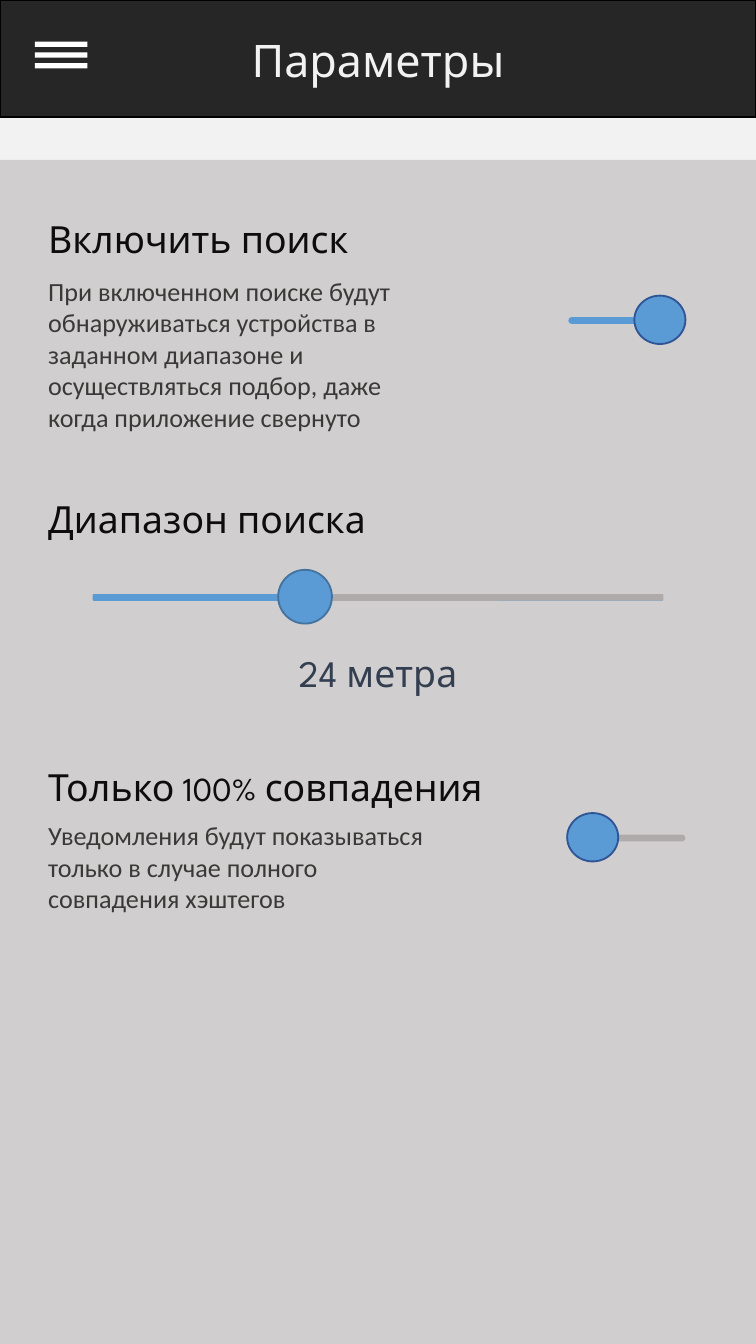
from collections import namedtuple

from pptx import Presentation
from pptx.dml.color import RGBColor
from pptx.enum.shapes import MSO_SHAPE
from pptx.enum.text import MSO_ANCHOR, MSO_AUTO_SIZE, PP_ALIGN
from pptx.util import Inches, Pt

Box = namedtuple("Box", "x y w h")

ROWS = 1000
COLUMNS = ROWS * 9 / 16
CELL = Inches(0.01)
HEADING_FONT, NOTE_FONT = "League Spartan", "Calibri"
BLUE, GREY, HEADING, NOTE = "5B9BD5", "AFABAB", "0D0D0D", "3B3838"
HEADING_ROWS, TRACK_ROWS = 44, 5


def paint(color_format, color):
    color_format.rgb = RGBColor.from_string(color)


def emu(box):
    return [round(cells * CELL) for cells in box]


def draw(shapes, kind, box, fill, line=None):
    shape = shapes.add_shape(kind, *emu(box))
    shape.shadow.inherit = False
    shape.fill.solid()
    paint(shape.fill.fore_color, fill)
    if line:
        paint(shape.line.color, line)
        shape.line.width = Pt(1)
    else:
        shape.line.fill.background()
    return shape


def write(holder, *parts, size=20, font=HEADING_FONT, color=HEADING, align=PP_ALIGN.LEFT):
    frame = holder.text_frame
    frame.word_wrap = True
    frame.auto_size = MSO_AUTO_SIZE.NONE
    frame.vertical_anchor = MSO_ANCHOR.TOP
    paragraph = frame.paragraphs[0]
    paragraph.alignment = align
    for part in parts:
        words, part_size = part if isinstance(part, tuple) else (part, size)
        run = paragraph.add_run()
        run.text = words
        run.font.size = Pt(part_size)
        run.font.name = font
        paint(run.font.color, color)


def write_box(shapes, box, *parts, **text_format):
    write(shapes.add_textbox(*emu(box)), *parts, **text_format)


def header(slide, box, words):
    bar = draw(slide.shapes, MSO_SHAPE.RECTANGLE, box, "262626", "000000")
    title = slide.shapes.title
    bar._element.addnext(title._element)
    title.left, title.top, title.width, title.height = emu(
        Box(box.x, box.y + 19, box.w, 50))
    write(title, words, size=24, color="F2F2F2", align=PP_ALIGN.CENTER)
    for step in range(3):
        stripe = Box(box.x + 26, box.y + 31 + 8 * step, 39, 4)
        draw(slide.shapes, MSO_SHAPE.RECTANGLE, stripe, "FFFFFF")


def setting(slide, box, heading, note, note_rows):
    shapes = slide.shapes.add_group_shape().shapes
    write_box(shapes, Box(box.x, box.y, box.w, HEADING_ROWS), *heading)
    write_box(shapes, Box(box.x, box.y + box.h - note_rows, 300, note_rows), note,
              size=14, font=NOTE_FONT, color=NOTE)


def switch(slide, box, on):
    track = Box(box.x + 1, box.y + 16, box.w - 1, TRACK_ROWS)
    rail = draw(slide.shapes, MSO_SHAPE.ROUNDED_RECTANGLE, track, BLUE if on else GREY)
    rail.adjustments[0] = 0.5
    knob_width = 38
    knob_x = box.x + (box.w - knob_width if on else 0)
    draw(slide.shapes, MSO_SHAPE.OVAL, Box(knob_x, box.y, knob_width, box.h), BLUE, "2F5597")


def search_range(slide, box, heading, value, chosen):
    shapes = slide.shapes.add_group_shape().shapes
    track = Box(box.x + 69, box.y + 78, box.w - 138, TRACK_ROWS)
    rest = track._replace(x=track.x + chosen, w=track.w - chosen)
    draw(shapes, MSO_SHAPE.ROUNDED_RECTANGLE, track, BLUE)
    draw(shapes, MSO_SHAPE.ROUNDED_RECTANGLE, rest, GREY)
    knob = 40
    draw(shapes, MSO_SHAPE.OVAL,
         Box(rest.x - knob / 2, box.y + 60, knob, knob), BLUE, "43739E")
    write_box(shapes, Box(box.x + 26, box.y, 341, HEADING_ROWS), heading)
    write_box(shapes, Box(box.x, box.y + box.h - HEADING_ROWS, box.w, HEADING_ROWS), value,
              color="333F50", align=PP_ALIGN.CENTER)


presentation = Presentation()
presentation.slide_width = round(COLUMNS * CELL)
presentation.slide_height = ROWS * CELL
settings = presentation.slides.add_slide(presentation.slide_layouts[5])
settings.background.fill.solid()
paint(settings.background.fill.fore_color, "F2F2F2")

header(settings, Box(0, 0, COLUMNS, 87), "Параметры")
draw(settings.shapes, MSO_SHAPE.RECTANGLE, Box(0, 119, COLUMNS, ROWS - 119), "D0CECE")
search_range(settings, Box(0, 364, COLUMNS, 159), "Диапазон поиска", "24 метра", 158)
switch(settings, Box(422, 605, 88, 36), on=False)
switch(settings, Box(422, 220, 88, 36), on=True)
setting(settings, Box(26, 564, 396, 122), ["Только", (" 100% ", 18), "совпадения"],
        "Уведомления будут показываться только в случае полного совпадения хэштегов", 81)
setting(settings, Box(26, 156, 396, 172), ["Включить поиск"],
        "При включенном поиске будут обнаруживаться устройства в заданном диапазоне "
        "и осуществляться подбор, даже когда приложение свернуто", 128)

presentation.save("out.pptx")
